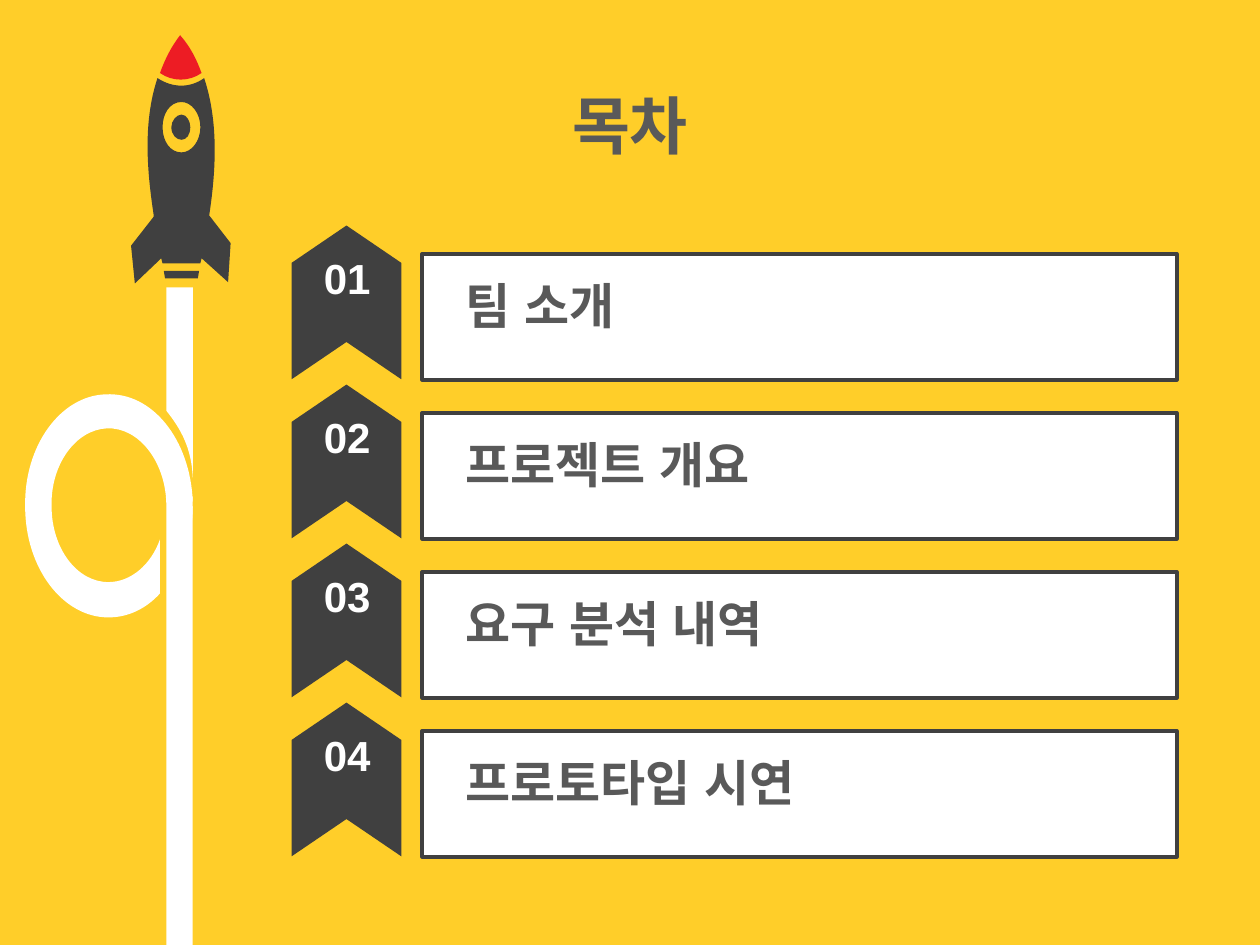
"""Build a contents slide with a rocket and four numbered sections."""
from dataclasses import dataclass

from lxml import etree
from pptx import Presentation
from pptx.dml.color import RGBColor
from pptx.enum.shapes import MSO_SHAPE
from pptx.enum.text import MSO_ANCHOR, MSO_AUTO_SIZE, PP_ALIGN
from pptx.oxml.ns import qn
from pptx.util import Emu, Inches, Pt

CHEVRON, RECTANGLE = MSO_SHAPE.CHEVRON, MSO_SHAPE.RECTANGLE
TAB = MSO_SHAPE.ROUND_2_SAME_RECTANGLE
LEFT, CENTER = PP_ALIGN.LEFT, PP_ALIGN.CENTER
MIDDLE, TOP = MSO_ANCHOR.MIDDLE, MSO_ANCHOR.TOP
FIXED, GROW = MSO_AUTO_SIZE.NONE, MSO_AUTO_SIZE.SHAPE_TO_FIT_TEXT

YELLOW = RGBColor(0xFF, 0xCE, 0x29)
WHITE = RGBColor(0xFF, 0xFF, 0xFF)
CHARCOAL = RGBColor(0x40, 0x40, 0x40)
GRAY = RGBColor(0x59, 0x59, 0x59)
RED = RGBColor(0xED, 0x1C, 0x24)

SLIDE_WIDTH, SLIDE_HEIGHT = Inches(10), Inches(7.5)
COLUMN, ROW = SLIDE_WIDTH / 100, SLIDE_HEIGHT / 75
FIRST_ROW, ROW_PITCH = 20.15, 12.62
SECTIONS = ("팀 소개", "프로젝트 개요", "요구 분석 내역", "프로토타입 시연")

TITLE_FONT = {"name": "Arial", "size": Pt(36), "bold": True}
SECTION_FONT = {"name": "Arial", "size": Pt(28), "bold": True}
NUMBER_FONT = {"name": "Arial", "size": Pt(24), "bold": True}
TITLE_FRAME = {"word_wrap": True, "vertical_anchor": MIDDLE, "auto_size": FIXED}
GROWING_FRAME = {"word_wrap": True, "vertical_anchor": TOP, "auto_size": GROW}


@dataclass(frozen=True)
class Box:
    """Area in grid columns and rows."""
    left: float
    top: float
    width: float
    height: float

    def emu(self) -> tuple:
        """Return the area in slide units."""
        return (Emu(round(self.left * COLUMN)), Emu(round(self.top * ROW)),
                Emu(round(self.width * COLUMN)), Emu(round(self.height * ROW)))


@dataclass(frozen=True)
class Outline:
    """Closed contours of corner points and cubic curves, on the grid."""
    fill: RGBColor
    contours: tuple


SMOKE_LOOP = Outline(WHITE, (
    ((14.8, 40.2), (15.3, 40.2), (15.3, 41.4, 15.1, 42.4, 14.8, 43.4)),
    ((8.4, 31.3), (12.1, 31.1, 15.1, 34.9, 15.3, 39.8), (13.2, 39.9),
     (13.1, 36.6, 11, 33.9, 8.5, 34), (6, 34.1, 4, 36.9, 4.1, 40.2),
     (4.1, 43.5, 6.1, 46.2, 8.6, 46.2), (10.4, 46.2, 12, 44.8, 12.7, 42.8),
     (12.7, 47.1), (11.6, 48.3, 10.2, 49, 8.6, 49),
     (5, 49, 2, 45.1, 2, 40.2), (1.9, 35.4, 4.8, 31.4, 8.4, 31.3)),
))
SMOKE_TOP = Outline(WHITE, (
    ((13.2, 22.8), (15.3, 22.8), (15.3, 27.8, 15.3, 32.9, 15.3, 37.9),
     (15.2, 35.6, 14.4, 34.1, 13.2, 32.6), (13.2, 22.8)),
))
ROCKET_BODY = Outline(CHARCOAL, (
    ((13, 21.5), (15.8, 21.5), (15.8, 21.7, 15.7, 21.9, 15.7, 22.1), (13.1, 22.1)),
    ((14.4, 9.1), (14.8, 9.1, 15.1, 9.6, 15.1, 10.1),
     (15.1, 10.7, 14.8, 11.1, 14.4, 11.1), (14, 11.1, 13.6, 10.7, 13.6, 10.1),
     (13.6, 9.6, 14, 9.1, 14.4, 9.1)),
    ((14.4, 8.1), (13.5, 8.1, 12.9, 9, 12.9, 10.1),
     (12.9, 11.2, 13.5, 12.1, 14.4, 12.1), (15.2, 12.1, 15.9, 11.2, 15.9, 10.1),
     (15.9, 9, 15.2, 8.1, 14.4, 8.1)),
    ((12.5, 6.2), (13.7, 7, 15.1, 7, 16.2, 6.2),
     (17.4, 9.8, 17.1, 13.8, 16.6, 17.1), (18.3, 19.3), (18.1, 22.4),
     (16, 20.5), (15.9, 20.9), (12.9, 20.9), (12.9, 20.8, 12.8, 20.7, 12.8, 20.5),
     (10.7, 22.5), (10.4, 19.5), (12.2, 17.2), (12.2, 17.1),
     (11.7, 13.8, 11.3, 9.8, 12.5, 6.2)),
))
ROCKET_NOSE = Outline(RED, (
    ((14.3, 2.8), (15.1, 3.7, 15.6, 4.7, 16, 5.8),
     (15, 6.5, 13.7, 6.5, 12.7, 5.8), (13.1, 4.7, 13.6, 3.7, 14.3, 2.8)),
))


def points_of(contour: tuple) -> list:
    """List corner and control points in slide units."""
    return [(x * COLUMN, y * ROW) for segment in contour
            for x, y in zip(segment[::2], segment[1::2])]


def paint(shape, fill: RGBColor) -> None:
    """Fill a shape plainly, with no line or shadow."""
    shape.shadow.inherit = False
    shape.fill.solid()
    shape.fill.fore_color.rgb = fill
    shape.line.fill.background()


def bend(shape, outline: Outline) -> None:
    """Join the three lines of each curve segment into one cubic curve."""
    lines = iter(list(shape._element.iter(qn("a:lnTo"))))
    for contour in outline.contours:
        for segment in contour[1:]:
            parts = [next(lines) for _ in range(len(segment) // 2)]
            if len(parts) == 1:
                continue
            curve = etree.Element(qn("a:cubicBezTo"))
            parts[0].addprevious(curve)
            for part in parts:
                curve.append(part[0])
                part.getparent().remove(part)


def draw_outline(slide, outline: Outline) -> None:
    """Draw all contours as one freeform."""
    first, *others = [points_of(contour) for contour in outline.contours]
    builder = slide.shapes.build_freeform(*first[0])
    builder.add_line_segments(first[1:], close=True)
    for points in others:
        builder.move_to(*points[0])
        builder.add_line_segments(points[1:], close=True)
    shape = builder.convert_to_shape()
    bend(shape, outline)
    paint(shape, outline.fill)


def draw_shape(slide, kind, box: Box, fill: RGBColor):
    """Draw a plain preset shape."""
    shape = slide.shapes.add_shape(kind, *box.emu())
    paint(shape, fill)
    return shape


def apply(target, values: dict) -> None:
    """Set every format value on the target."""
    for attribute, value in values.items():
        setattr(target, attribute, value)


def write(shape, words: str, font: dict, color: RGBColor, align, layout: dict) -> None:
    """Write one formatted line into a shape."""
    apply(shape.text_frame, layout)
    paragraph = shape.text_frame.paragraphs[0]
    paragraph.alignment = align
    run = paragraph.add_run()
    run.text = words
    apply(run.font, font)
    run.font.color.rgb = color
    etree.SubElement(run._r.get_or_add_rPr(), qn("a:ea"), typeface=font["name"])


def draw_section(slide, index: int, name: str) -> None:
    """Draw one numbered section of the contents."""
    top = FIRST_ROW + index * ROW_PITCH
    panel = draw_shape(slide, RECTANGLE, Box(33.5, top, 59.9, 10), WHITE)
    panel.line.color.rgb = CHARCOAL
    panel.line.width = Pt(2)

    label = draw_shape(slide, TAB, Box(35.7, top + 0.95, 55.1, 6), WHITE)
    label.fill.background()
    write(label, name, SECTION_FONT, GRAY, LEFT, GROWING_FRAME)

    ribbon = draw_shape(slide, CHEVRON, Box(21.4, top - 0.5, 12.2, 8.7), CHARCOAL)
    ribbon.rotation = 270
    ribbon.adjustments[0] = 0.34

    number = slide.shapes.add_textbox(*Box(24.5, top - 0.6, 6.1, 5).emu())
    write(number, f"{index + 1:02}", NUMBER_FONT, WHITE, CENTER, GROWING_FRAME)


def main() -> None:
    """Build and save the slide."""
    deck = Presentation()
    deck.slide_width, deck.slide_height = SLIDE_WIDTH, SLIDE_HEIGHT
    slide = deck.slides.add_slide(deck.slide_layouts[6])
    slide.background.fill.solid()
    slide.background.fill.fore_color.rgb = YELLOW

    for outline in (SMOKE_LOOP, SMOKE_TOP, ROCKET_BODY, ROCKET_NOSE):
        draw_outline(slide, outline)
    draw_shape(slide, RECTANGLE, Box(13.2, 39.4, 2.1, 35.6), WHITE)

    title = slide.shapes.add_textbox(*Box(0, 5.7, 100, 8.4).emu())
    write(title, "목차", TITLE_FONT, GRAY, CENTER, TITLE_FRAME)
    for index, name in enumerate(SECTIONS):
        draw_section(slide, index, name)
    deck.save("out.pptx")


if __name__ == "__main__":
    main()
